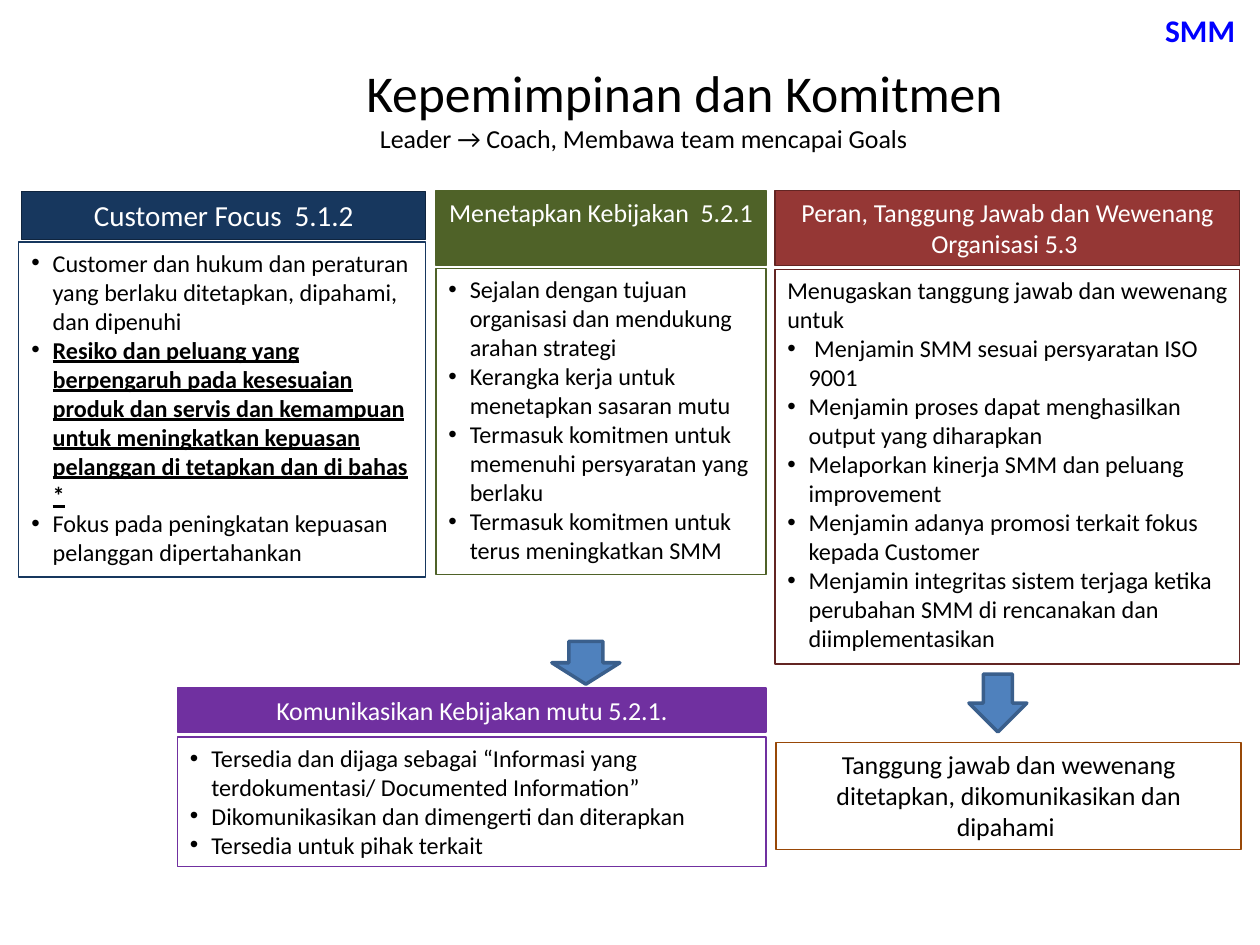
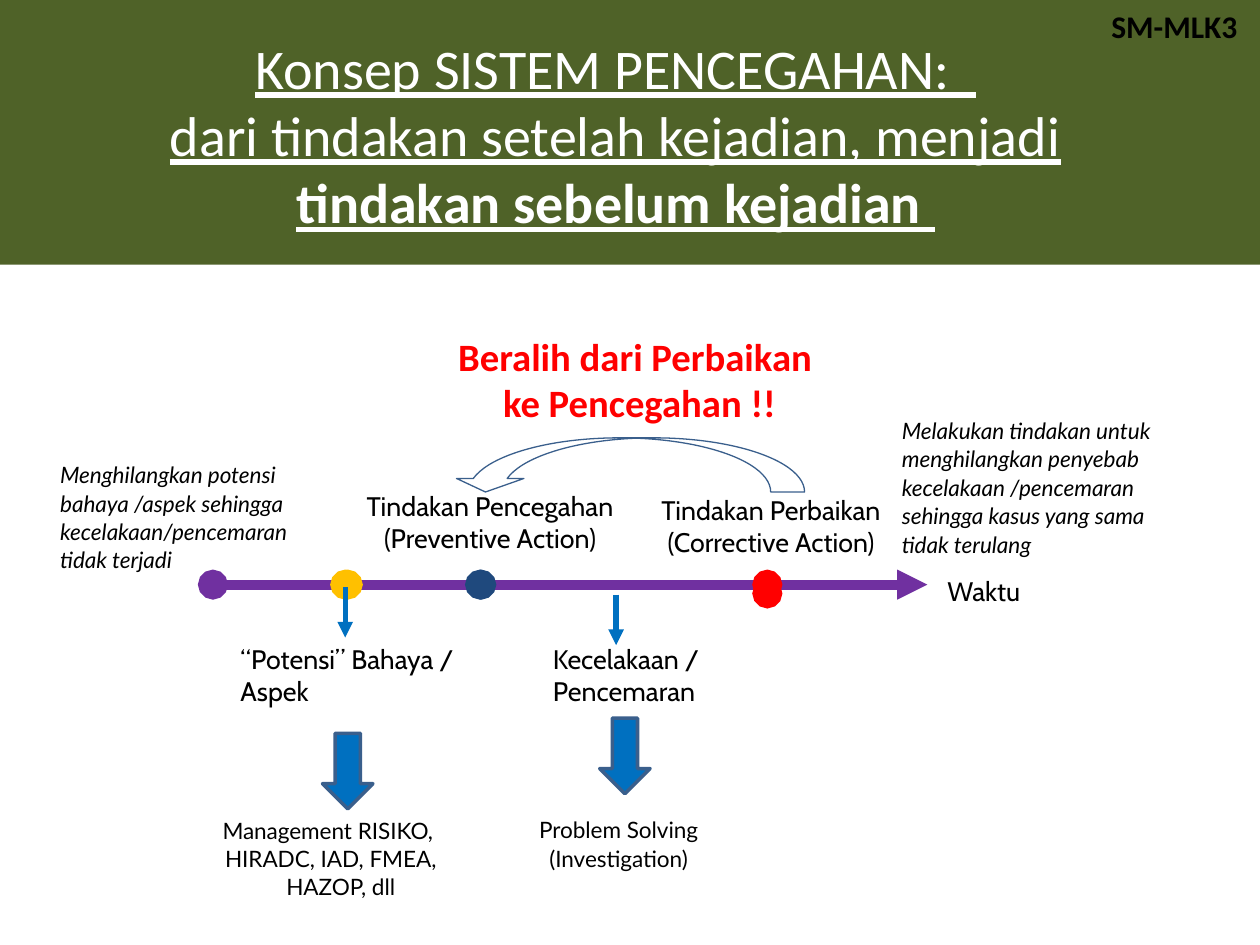
from lxml import etree
from pptx import Presentation
from pptx.dml.color import RGBColor
from pptx.enum.shapes import MSO_CONNECTOR as Connector, MSO_SHAPE as Shape
from pptx.enum.text import MSO_ANCHOR as Anchor, PP_ALIGN as Align
from pptx.oxml.ns import qn
from pptx.util import Inches, Pt

COLORS = {
    "black": "000000", "white": "FFFFFF", "blue": "0000FF", "red": "FF0000",
    "navy": "17375E", "dark navy": "0F243E", "green": "4F6228",
    "brick": "953735", "maroon": "632523", "purple": "7030A0",
    "brown": "984807", "steel": "4F81BD", "outline": "3A5F8C",
    "azure": "0070C0", "amber": "FFC000", "ink": "1F497D", "khaki": "948A54",
}
HEADING = {"size": 14.8, "color": "white", "align": Align.CENTER}
BODY = {"size": 13.8}
CORNER = {"size": 18, "bold": True, "align": Align.CENTER}
LABEL = {"size": 15.3, "name": "Cabin"}
NOTE = {"size": 12.9, "name": "Lato", "spacing": 1.05}
REMEDY = NOTE | {"align": Align.CENTER, "indent": 0.16}


def rgb(color):
    return RGBColor.from_string(COLORS[color])


class SlideBuilder:
    """Holds the shared text style and the slide being filled."""

    FONT = {"name": "Calibri", "size": 14, "bold": False, "italic": False,
            "underline": False}

    def __init__(self, presentation):
        self.presentation = presentation
        self.slide = None

    def new_slide(self):
        self.slide = self.presentation.slides.add_slide(
            self.presentation.slide_layouts[6])

    def fill_text(self, shape, paragraphs, style, wrap=True, anchor=Anchor.TOP):
        """Fill a shape; a paragraph is a string or a list of (text, format) runs.

        A string that starts with "•" becomes a bulleted paragraph.
        """
        frame = shape.text_frame
        frame.word_wrap = wrap
        frame.vertical_anchor = anchor
        for number, content in enumerate(paragraphs):
            paragraph = frame.paragraphs[0] if number == 0 else frame.add_paragraph()
            runs = [(content, {})] if isinstance(content, str) else content
            bullet = runs[0][0].startswith("•")
            self.set_indent(paragraph, 0.17 if bullet else style.get("indent"), bullet)
            paragraph.alignment = style.get("align", Align.LEFT)
            paragraph.line_spacing = style.get("spacing", 1.0)
            for text, changes in runs:
                self.add_run(paragraph, text.removeprefix("•"), style | changes)

    def set_indent(self, paragraph, indent, bullet):
        if not indent:
            return
        properties = paragraph._p.get_or_add_pPr()
        properties.set("marL", str(Inches(indent)))
        properties.set("indent", str(-Inches(indent)))
        if bullet:
            etree.SubElement(properties, qn("a:buFont")).set("typeface", "Arial")
            etree.SubElement(properties, qn("a:buChar")).set("char", "•")

    def add_run(self, paragraph, text, style):
        for number, line in enumerate(text.split("\n")):
            if number:
                paragraph.add_line_break()
            run = paragraph.add_run()
            run.text = line
            for attribute, default in self.FONT.items():
                value = style.get(attribute, default)
                setattr(run.font, attribute, Pt(value) if attribute == "size" else value)
            run.font.color.rgb = rgb(style.get("color", "black"))

    def text(self, box, paragraphs, style, **layout):
        shape = self.slide.shapes.add_textbox(*map(Inches, box))
        self.fill_text(shape, paragraphs, style, **layout)

    def shape(self, kind, box, fill=None, line=None, width=0.75):
        shape = self.slide.shapes.add_shape(kind, *map(Inches, box))
        shape.shadow.inherit = False
        if fill:
            shape.fill.solid()
            shape.fill.fore_color.rgb = rgb(fill)
        else:
            shape.fill.background()
        if line:
            shape.line.color.rgb = rgb(line)
            shape.line.width = Pt(width)
        else:
            shape.line.fill.background()
        return shape

    def panel(self, box, paragraphs, style, fill, line):
        self.fill_text(self.shape(Shape.RECTANGLE, box, fill, line), paragraphs, style)

    def down_arrow(self, box, fill):
        self.shape(Shape.DOWN_ARROW, box, fill, "outline", 2)

    def line(self, start, end, color, width, head=None, tail=None):
        connector = self.slide.shapes.add_connector(
            Connector.STRAIGHT, *map(Inches, start + end))
        connector.line.color.rgb = rgb(color)
        connector.line.width = Pt(width)
        outline = connector.line._get_or_add_ln()
        for tag, kind in (("a:headEnd", head), ("a:tailEnd", tail)):
            if kind:
                etree.SubElement(outline, qn(tag)).set("type", kind)
        etree.SubElement(connector._element.spPr, qn("a:effectLst"))


def build_leadership(builder):
    builder.new_slide()
    builder.text((1.92, 0.27, 7.03, 0.92), ["Kepemimpinan dan Komitmen"],
                 {"size": 29.5, "align": Align.CENTER}, anchor=Anchor.MIDDLE)
    builder.text((2.24, 0.92, 5.78, 0.35),
                 ["Leader → Coach, Membawa team mencapai Goals "],
                 {"size": 14.8, "align": Align.CENTER})

    bodies = [
        ((0.15, 1.92, 3.23, 2.66), "navy", [
            "•Customer dan hukum dan peraturan yang berlaku ditetapkan, dipahami, dan dipenuhi",
            [("•Resiko dan peluang yang berpengaruh pada kesesuaian produk dan servis dan "
              "kemampuan untuk meningkatkan kepuasan pelanggan di tetapkan dan di bahas *",
              {"bold": True, "underline": True})],
            "•Fokus pada peningkatan kepuasan pelanggan dipertahankan"]),
        ((3.46, 2.13, 2.62, 2.43), "green", [
            "•Sejalan dengan tujuan organisasi dan mendukung arahan strategi",
            "•Kerangka kerja untuk menetapkan sasaran mutu",
            "•Termasuk komitmen untuk memenuhi persyaratan yang berlaku",
            "•Termasuk komitmen untuk terus meningkatkan SMM"]),
        ((1.41, 5.85, 4.67, 1.03), "purple", [
            "•Tersedia dan dijaga sebagai “Informasi yang terdokumentasi/ Documented Information”",
            "•Dikomunikasikan dan dimengerti dan diterapkan",
            "•Tersedia untuk pihak terkait"]),
        ((6.15, 2.14, 3.69, 3.13), "maroon", [
            "Menugaskan tanggung jawab dan wewenang untuk",
            "• Menjamin SMM sesuai persyaratan ISO 9001",
            "•Menjamin proses dapat menghasilkan output yang diharapkan",
            "•Melaporkan kinerja SMM dan peluang improvement",
            "•Menjamin adanya promosi terkait fokus kepada Customer",
            "•Menjamin integritas sistem terjaga ketika perubahan SMM di rencanakan dan "
            "diimplementasikan"]),
    ]
    for box, line, paragraphs in bodies:
        builder.panel(box, paragraphs, BODY, "white", line)
    builder.panel((6.16, 5.89, 3.69, 0.85),
                  ["Tanggung jawab dan wewenang ditetapkan, dikomunikasikan dan dipahami "],
                  HEADING | {"color": "black"}, "white", "brown")

    for box in ((4.38, 5.09, 0.54, 0.34), (7.69, 5.35, 0.46, 0.46)):
        builder.down_arrow(box, "steel")

    headings = [
        ((0.17, 1.52, 3.21, 0.38), "navy", "dark navy", 16.6, "Customer Focus  5.1.2"),
        ((3.46, 1.51, 2.62, 0.6), "green", "green", 14.8, "Menetapkan Kebijakan  5.2.1"),
        ((6.15, 1.51, 3.69, 0.6), "brick", "maroon", 14.8,
         "Peran, Tanggung Jawab dan Wewenang Organisasi 5.3 "),
        ((1.41, 5.46, 4.67, 0.35), "purple", "purple", 14.8,
         "Komunikasikan Kebijakan mutu 5.2.1."),
    ]
    for box, fill, line, size, heading in headings:
        builder.panel(box, [heading], HEADING | {"size": size}, fill, line)
    builder.text((9.06, -0.01, 0.93, 0.49), ["SMM"], CORNER | {"color": "blue"},
                 anchor=Anchor.MIDDLE)


def build_prevention(builder):
    builder.new_slide()
    builder.shape(Shape.RECTANGLE, (0, 0, 10, 2.1), "green")
    builder.text((0.73, 0.53, 8.31, 1.07), [[
        ("Konsep SISTEM PENCEGAHAN:  \ndari tindakan setelah kejadian, menjadi ", {}),
        ("tindakan sebelum kejadian ", {"bold": True})]],
        {"size": 32, "color": "white", "underline": True, "align": Align.CENTER},
        anchor=Anchor.MIDDLE)

    timeline = 4.64
    builder.line((1.69, timeline), (7.36, timeline), "purple", 5.75, "oval", "triangle")
    milestones = [(3.81, 0.01, 0, "ink"), (4.89, 0, 0, "khaki"),
                  (6.09, 0, 0.07, "red"), (2.74, 0.02, 0, "amber")]
    for left, run, drop, color in milestones:
        builder.line((left, timeline), (left + run, timeline + drop),
                     color, 5.75, "oval", "oval")
    for left, top in ((2.74, 4.66), (4.89, 4.72)):
        builder.line((left, top), (left, top + 0.4), "azure", 3, tail="triangle")
    for left, top in ((2.56, 5.82), (4.76, 5.7)):
        builder.down_arrow((left, top, 0.4, 0.6), "azure")

    centered = LABEL | {"align": Align.CENTER}
    italic = NOTE | {"italic": True}
    captions = [
        ((4.29, 5.05, 1.44, 0.62), LABEL, ["Kecelakaan / Pencemaran"]),
        ((1.81, 5.05, 2.2, 0.62), LABEL, ["“Potensi” Bahaya / Aspek"]),
        ((7.42, 4.51, 1.13, 0.36), LABEL, ["Waktu"]),
        ((5.02, 3.87, 2.2, 0.62), centered, ["Tindakan Perbaikan", "(Corrective Action)"]),
        ((2.69, 3.84, 2.4, 0.62), centered, ["Tindakan Pencegahan", "(Preventive Action)"]),
        ((7.06, 3.25, 2.34, 1.24), italic,
         ["Melakukan tindakan untuk menghilangkan penyebab kecelakaan /pencemaran "
          "sehingga kasus yang sama tidak terulang"]),
        ((0.38, 3.6, 2.34, 1.01), italic,
         ["Menghilangkan potensi bahaya /aspek sehingga kecelakaan/pencemaran "
          "tidak terjadi"]),
        ((3.98, 6.42, 1.86, 0.56), REMEDY, ["Problem Solving", "(Investigation)"]),
        ((1.36, 6.42, 2.53, 0.79), REMEDY,
         ["Management RISIKO, ", "HIRADC, IAD, FMEA, HAZOP, dll"]),
    ]
    for box, style, paragraphs in captions:
        builder.text(box, paragraphs, style)

    shift = builder.shape(Shape.CURVED_RIGHT_ARROW, (4.77, 2.29, 0.43, 2.8), line="outline")
    shift.rotation = 90
    for number, value in enumerate((0.625, 1.244, 0.25)):
        shift.adjustments[number] = value
    builder.text((3.52, 2.59, 3.04, 0.85), ["Beralih dari Perbaikan", " ke Pencegahan !!"],
                 {"size": 22.1, "color": "red", "bold": True, "align": Align.CENTER},
                 wrap=False)
    builder.text((8.63, 0.01, 1.38, 0.49), ["SM-MLK3"], CORNER)


def main():
    presentation = Presentation()
    presentation.slide_width = Inches(10)
    presentation.slide_height = Inches(7.5)
    builder = SlideBuilder(presentation)
    build_leadership(builder)
    build_prevention(builder)
    presentation.save("out.pptx")


if __name__ == "__main__":
    main()
